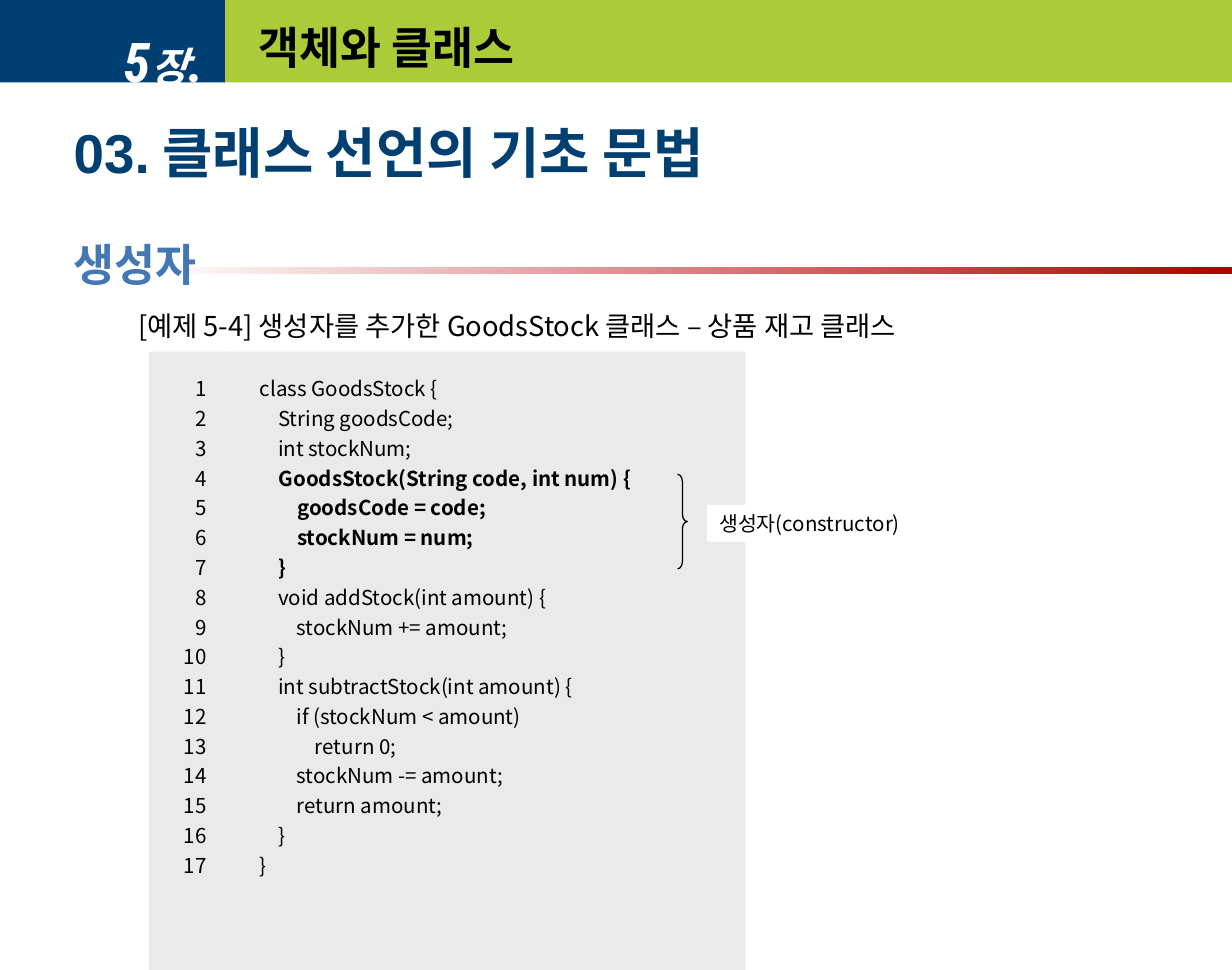
from lxml import etree
from pptx import Presentation
from pptx.dml.color import RGBColor
from pptx.enum.shapes import MSO_SHAPE
from pptx.enum.text import MSO_ANCHOR, PP_ALIGN
from pptx.oxml.ns import qn
from pptx.util import Cm, Pt

RECT, BRACE = MSO_SHAPE.RECTANGLE, MSO_SHAPE.RIGHT_BRACE
TOP, MIDDLE = MSO_ANCHOR.TOP, MSO_ANCHOR.MIDDLE
LEFT, RIGHT, JUSTIFY = PP_ALIGN.LEFT, PP_ALIGN.RIGHT, PP_ALIGN.JUSTIFY

KOREAN = "Noto Sans CJK KR"
NAVY, GREEN, BLUE, RED = "003F71", "ACCB39", "4378B5", "B20000"
GRAY, BLACK, WHITE = "EAEAEA", "000000", "FFFFFF"

CODE = """\
class GoodsStock {
    String goodsCode;
    int stockNum;
    GoodsStock(String code, int num) {
        goodsCode = code;
        stockNum = num;
    }
    void addStock(int amount) {
        stockNum += amount;
    }
    int subtractStock(int amount) {
        if (stockNum < amount)
            return 0;
        stockNum -= amount;
        return amount;
    }
}""".split("\n")
CONSTRUCTOR_LINES = range(4, 8)


def rgb(color):
    return RGBColor.from_string(color)


def add_run(p, text, size=12, font=KOREAN, color=BLACK, bold=False, italic=False):
    r = p.add_run()
    r.text = text
    f = r.font
    f.size, f.name, f.bold, f.italic = Pt(size), font, bold, italic
    f.color.rgb = rgb(color)
    # Hangul uses the East Asian font slot
    etree.SubElement(r._r.get_or_add_rPr(), qn("a:ea"), typeface=KOREAN)


def add_paragraph(tf, align=LEFT, line=None, before=0):
    """Return the next paragraph; the first one of a frame is reused."""
    first = tf.paragraphs[0]
    p = tf.add_paragraph() if first.runs else first
    p.alignment = align
    p.space_before = Pt(before)
    if line:
        p.line_spacing = Pt(line)
    return p


def setup_frame(s, anchor=TOP, insets=(0.25, 0.13, 0.25, 0.13), wrap=True):
    tf = s.text_frame
    tf.word_wrap = wrap
    tf.vertical_anchor = anchor
    tf.margin_left, tf.margin_top, tf.margin_right, tf.margin_bottom = map(Cm, insets)
    return tf


def add_box(slide, x, y, w, h, fill=None, kind=RECT):
    s = slide.shapes.add_shape(kind, Cm(x), Cm(y), Cm(w), Cm(h))
    s.shadow.inherit = False
    s.line.fill.background()
    if fill:
        s.fill.solid()
        s.fill.fore_color.rgb = rgb(fill)
    else:
        s.fill.background()
    return s


def add_text_box(slide, x, y, w, h, **frame):
    return setup_frame(slide.shapes.add_textbox(Cm(x), Cm(y), Cm(w), Cm(h)), **frame)


def add_header(slide):
    add_box(slide, 0, 0, 4.65, 1.7, NAVY)
    p = add_paragraph(add_text_box(slide, 0, 0.2, 4.45, 2.1, anchor=MIDDLE), RIGHT)
    for text, size in (("5", 32), ("장", 24), (".", 32)):
        add_run(p, text, size, "Roboto Condensed", WHITE, bold=True, italic=True)

    add_box(slide, 4.65, 0, 20.75, 1.7, GREEN)
    title = slide.shapes.title
    title.left, title.top, title.width, title.height = Cm(5.08), Cm(0.2), Cm(19.9), Cm(1.52)
    p = add_paragraph(setup_frame(title, anchor=MIDDLE))
    add_run(p, "객체와 클래스", 26, bold=True)
    # Bring the title in front of its band
    slide.shapes._spTree.append(title._element)


def add_rule(slide):
    s = add_box(slide, 3.18, 5.51, 22.22, 0.15)
    s.fill.gradient()
    s.fill.gradient_angle = 0
    for stop, color in zip(s.fill.gradient_stops, (WHITE, RED)):
        stop.color.rgb = rgb(color)


def add_headings(slide):
    tf = add_text_box(slide, 1.27, 2.34, 22.83, 15.04)
    p = add_paragraph(tf, line=38)
    add_run(p, "03.", 32, "Arial", NAVY, bold=True)
    add_run(p, " 클래스 선언의 기초 문법", 32, color=NAVY, bold=True)

    p = add_paragraph(tf, line=33, before=28.5)
    add_run(p, "생성자", 26, "Arial Narrow", BLUE, bold=True)

    p = add_paragraph(tf, line=20, before=10.5)
    p._p.get_or_add_pPr().set("marL", str(Cm(1.33)))
    add_run(p, "[예제 5-4] 생성자를 추가한 GoodsStock 클래스 – 상품 재고 클래스", 16)


def add_code_panel(slide, x, w, h, lines, align, left_inset):
    s = add_box(slide, x, 7.25, w, h, GRAY)
    tf = setup_frame(s, insets=(left_inset, 0.51, 0.51, 0.51))
    for number, text in enumerate(lines, 1):
        p = add_paragraph(tf, align, line=14.4, before=3 if number > 1 else 0)
        bold = align == JUSTIFY and number in CONSTRUCTOR_LINES
        add_run(p, text, bold=bold)


def add_constructor_note(slide):
    s = add_box(slide, 14.58, 10.41, 4.65, 0.76, WHITE)
    p = add_paragraph(setup_frame(s), line=14.4)
    add_run(p, "생성자(constructor)")

    brace = add_box(slide, 13.97, 9.78, 0.2, 1.95, kind=BRACE)
    brace.adjustments[0] = 0.75
    brace.line.color.rgb = rgb(BLACK)
    brace.line.width = Pt(0.75)


def main():
    prs = Presentation()
    prs.slide_width, prs.slide_height = Cm(25.4), Cm(20)
    slide = prs.slides.add_slide(prs.slide_layouts[5])

    # Chapter band, section headings
    add_header(slide)
    add_rule(slide)
    add_headings(slide)

    # Listing: line numbers, then code
    numbers = [str(n) for n in range(1, len(CODE) + 1)]
    add_code_panel(slide, 3.07, 1.7, 15.39, numbers, RIGHT, 0.25)
    add_code_panel(slide, 4.65, 10.72, 13.36, CODE, JUSTIFY, 0.71)
    add_constructor_note(slide)

    prs.save("out.pptx")


if __name__ == "__main__":
    main()
